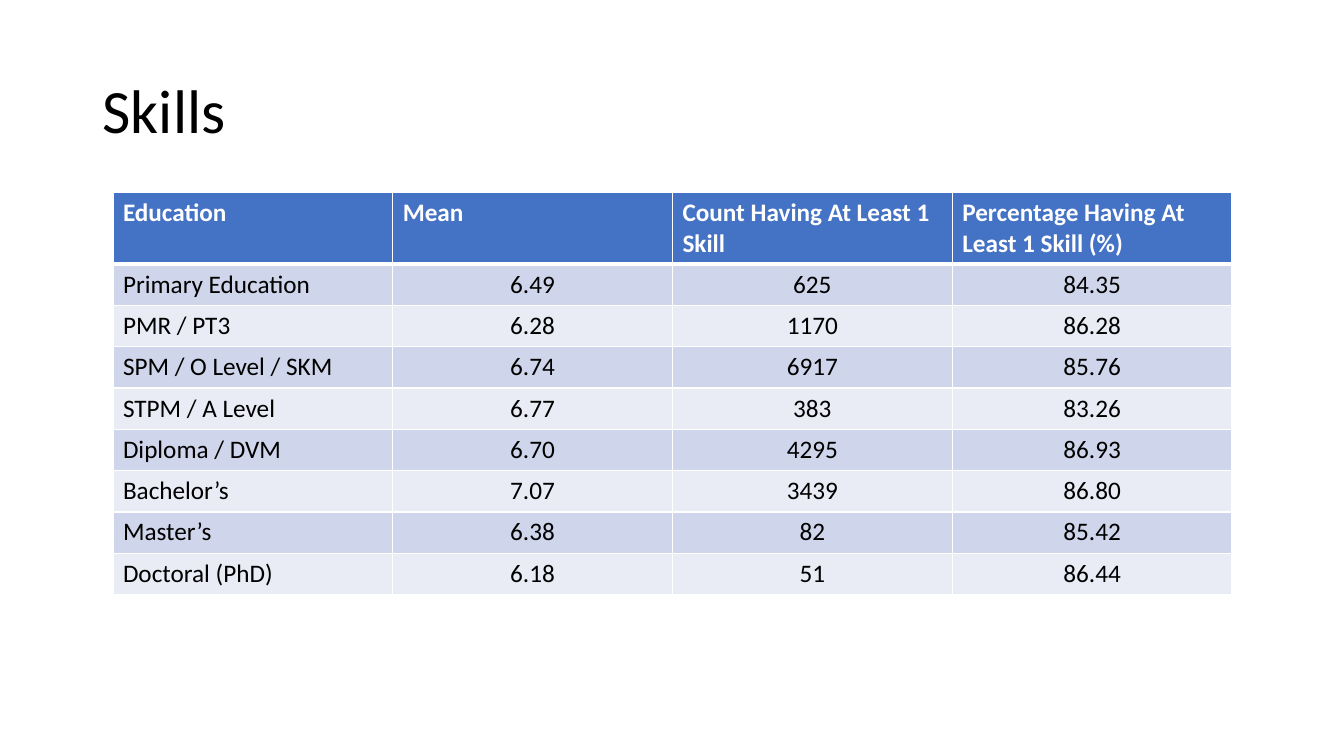
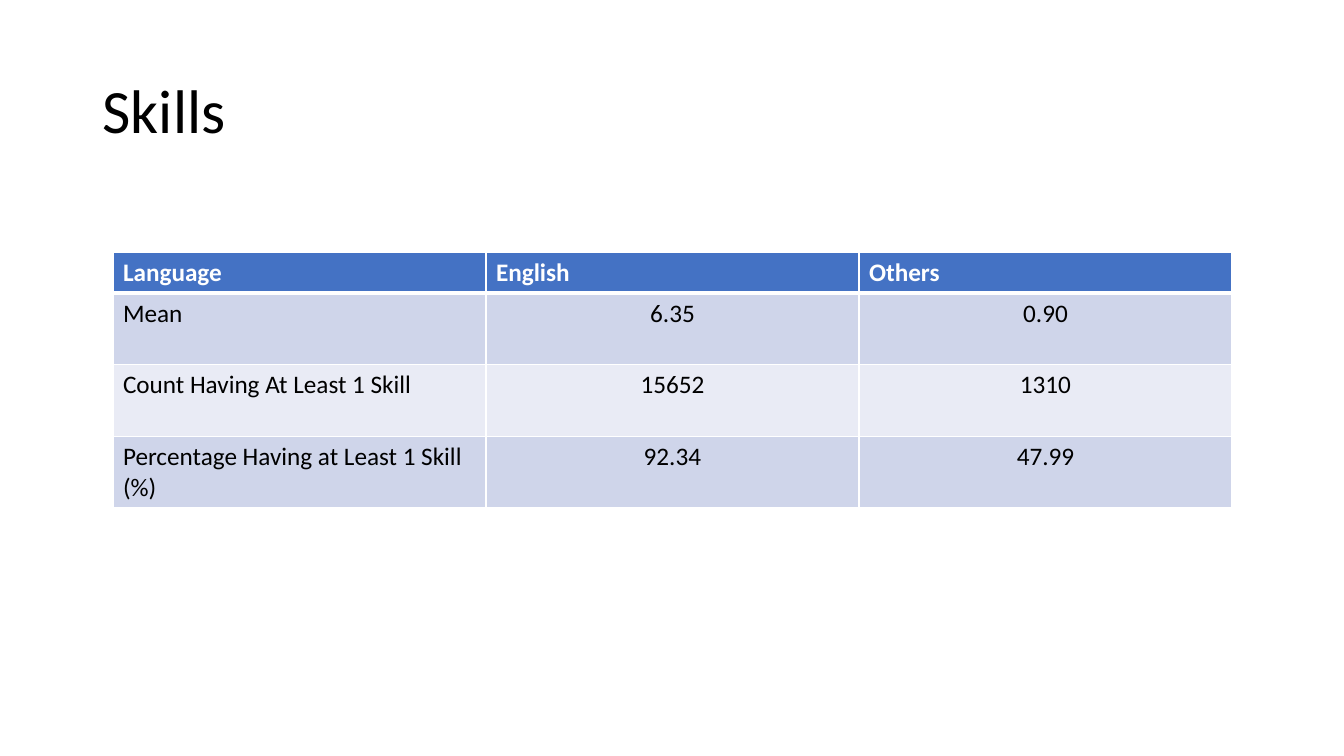
from lxml import etree
from pptx import Presentation
from pptx.dml.color import RGBColor
from pptx.enum.text import MSO_ANCHOR, PP_ALIGN
from pptx.oxml.ns import qn
from pptx.util import Inches, Pt

MIDDLE = MSO_ANCHOR.MIDDLE
LEFT = PP_ALIGN.LEFT
CENTER = PP_ALIGN.CENTER

FONT = "Calibri"
BLACK = RGBColor(0x00, 0x00, 0x00)
WHITE = RGBColor(0xFF, 0xFF, 0xFF)
BLUE = RGBColor(0x44, 0x72, 0xC4)
BANDS = [RGBColor(0xE9, 0xEB, 0xF5), RGBColor(0xCF, 0xD5, 0xEA)]

EDGE = 1.12
WIDTH = 11.1
LOW = 0.41
TALL = 0.71

PAGES = [
    (1.91, TALL, LOW, [
        ("Education", "Mean", "Count Having At Least 1 Skill",
         "Percentage Having At Least 1 Skill (%)"),
        ("Primary Education", "6.49", "625", "84.35"),
        ("PMR / PT3", "6.28", "1170", "86.28"),
        ("SPM / O Level / SKM", "6.74", "6917", "85.76"),
        ("STPM / A Level", "6.77", "383", "83.26"),
        ("Diploma / DVM", "6.70", "4295", "86.93"),
        ("Bachelor’s", "7.07", "3439", "86.80"),
        ("Master’s", "6.38", "82", "85.42"),
        ("Doctoral (PhD)", "6.18", "51", "86.44"),
    ]),
    (2.5, LOW, TALL, [
        ("Language", "English", "Others"),
        ("Mean", "6.35", "0.90"),
        ("Count Having At Least 1 Skill", "15652", "1310"),
        ("Percentage Having at Least 1 Skill (%)", "92.34", "47.99"),
    ]),
]


def style(para, size, color, bold=False):
    para.font.name = FONT
    para.font.size = Pt(size)
    para.font.color.rgb = color
    para.font.bold = bold


def border(cell, row):
    props = cell._tc.get_or_add_tcPr()
    for side in ("L", "R", "T", "B"):
        thick = (side, row) in (("B", 0), ("T", 1))
        line = etree.SubElement(props, qn(f"a:ln{side}"), w=str(Pt(3 if thick else 1)))
        fill = etree.SubElement(line, qn("a:solidFill"))
        etree.SubElement(fill, qn("a:srgbClr"), val=str(WHITE))


deck = Presentation()
deck.slide_width = Inches(13.33)
deck.slide_height = Inches(7.5)
blank = deck.slide_layouts[6]

for top, head, body, data in PAGES:
    slide = deck.slides.add_slide(blank)

    box = slide.shapes.add_textbox(Inches(0.92), Inches(0.4), Inches(11.5), Inches(1.45))
    frame = box.text_frame
    frame.word_wrap = True
    frame.vertical_anchor = MIDDLE
    title = frame.paragraphs[0]
    title.text = "Skills"
    title.line_spacing = 0.9
    style(title, 44, BLACK)

    rows, cols = len(data), len(data[0])
    tall = head + body * (rows - 1)
    table = slide.shapes.add_table(
        rows, cols, Inches(EDGE), Inches(top), Inches(WIDTH), Inches(tall)).table
    for col in table.columns:
        col.width = Inches(WIDTH / cols)

    for r, texts in enumerate(data):
        first = r == 0
        table.rows[r].height = Inches(head if first else body)
        for c, text in enumerate(texts):
            cell = table.cell(r, c)
            border(cell, r)
            cell.fill.solid()
            cell.fill.fore_color.rgb = BLUE if first else BANDS[r % 2]
            para = cell.text_frame.paragraphs[0]
            para.text = text
            para.alignment = LEFT if first or c == 0 else CENTER
            style(para, 18, WHITE if first else BLACK, first)

deck.save("out.pptx")
